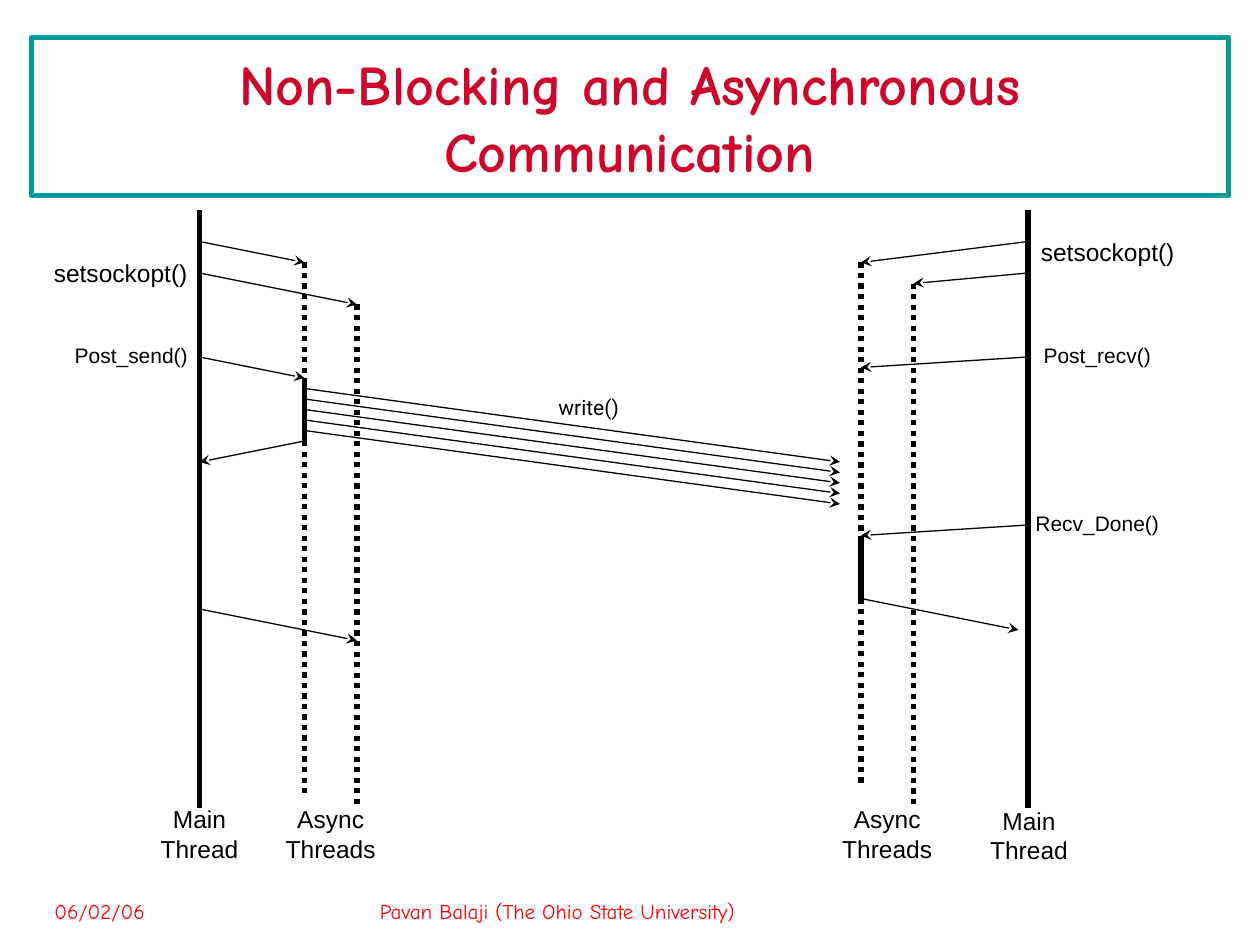
from dataclasses import dataclass

from lxml import etree
from pptx import Presentation
from pptx.dml.color import RGBColor
from pptx.enum.dml import MSO_LINE
from pptx.enum.shapes import MSO_CONNECTOR
from pptx.enum.text import MSO_ANCHOR, MSO_AUTO_SIZE, PP_ALIGN
from pptx.oxml.ns import qn
from pptx.slide import Slide
from pptx.text.text import TextFrame
from pptx.util import Pt

STRAIGHT = MSO_CONNECTOR.STRAIGHT
DOTTED = MSO_LINE.ROUND_DOT  # stored as sysDot
LEFT, CENTER = PP_ALIGN.LEFT, PP_ALIGN.CENTER
MIDDLE, TOP = MSO_ANCHOR.MIDDLE, MSO_ANCHOR.TOP
FIXED = MSO_AUTO_SIZE.NONE


@dataclass(frozen=True)
class Theme:
    ink: RGBColor = RGBColor(0x00, 0x00, 0x00)
    paper: RGBColor = RGBColor(0xFF, 0xFF, 0xFF)
    frame: RGBColor = RGBColor(0x00, 0x99, 0x99)
    title: RGBColor = RGBColor(0xCD, 0x05, 0x2B)
    footer: RGBColor = RGBColor(0xFF, 0x00, 0x00)
    heading_font: str = "Comic Neue"
    label_font: str = "Arial"
    write_font: str = "Roboto"
    title_size: float = 32
    large: float = 14
    small: float = 12
    thick: float = 3
    thin: float = 0.75


THEME = Theme()


@dataclass(frozen=True)
class Lifeline:
    x: float
    top: float
    bottom: float
    dotted: bool = False


@dataclass(frozen=True)
class Message:
    start_x: float
    start_y: float
    end_x: float
    end_y: float


@dataclass(frozen=True)
class Label:
    text: str
    left: float
    top: float
    width: float
    height: float
    size: float = THEME.small
    font: str = THEME.label_font
    color: RGBColor = THEME.ink
    alignment: PP_ALIGN = CENTER


# Horizontal positions of the threads
SEND_MAIN, SEND_ASYNC_1, SEND_ASYNC_2 = 114, 174, 204
RECEIVE_ASYNC_1, RECEIVE_ASYNC_2, RECEIVE_MAIN = 492, 522, 587.5
WRITE_COUNT, WRITE_STEP = 5, 6

LIFELINES = [
    Lifeline(SEND_MAIN, 120, 462),
    Lifeline(SEND_ASYNC_1, 150, 216, dotted=True),
    Lifeline(SEND_ASYNC_1, 216, 252),
    Lifeline(SEND_ASYNC_1, 252, 456, dotted=True),
    Lifeline(SEND_ASYNC_2, 174, 462, dotted=True),
    Lifeline(RECEIVE_ASYNC_1, 150, 312, dotted=True),
    Lifeline(RECEIVE_ASYNC_1, 306, 342),
    Lifeline(RECEIVE_ASYNC_1, 342, 450, dotted=True),
    Lifeline(RECEIVE_ASYNC_2, 162, 462, dotted=True),
    Lifeline(RECEIVE_MAIN, 120, 462),
]

MESSAGES = [
    Message(SEND_MAIN, 138, SEND_ASYNC_1, 150),
    Message(SEND_MAIN, 156, SEND_ASYNC_2, 174),
    Message(SEND_MAIN, 204, SEND_ASYNC_1, 216),
    Message(SEND_ASYNC_1, 252, SEND_MAIN, 264),
    Message(SEND_MAIN, 348, SEND_ASYNC_2, 366),
    Message(RECEIVE_MAIN, 138, RECEIVE_ASYNC_1, 150),
    Message(RECEIVE_MAIN, 156, RECEIVE_ASYNC_2, 162),
    Message(RECEIVE_MAIN, 204, RECEIVE_ASYNC_1, 210),
    Message(RECEIVE_MAIN, 300, RECEIVE_ASYNC_1, 306),
    Message(RECEIVE_ASYNC_1, 342, 582, 360),
] + [
    Message(SEND_ASYNC_1, 222 + WRITE_STEP * index, 480, 264 + WRITE_STEP * index)
    for index in range(WRITE_COUNT)
]

LABELS = [
    Label("setsockopt()", 18, 144, 102, 24, THEME.large),
    Label("Post_send()", 30, 192, 90, 21.6),
    Label("write()", 312, 222, 60, 21.6, font=THEME.write_font, alignment=LEFT),
    Label("setsockopt()", 582, 132, 102, 24, THEME.large),
    Label("Post_recv()", 582, 192, 90, 21.6),
    Label("Recv_Done()", 582, 288, 90, 21.6),
    Label("Main Thread", 84, 456, 60, 41, THEME.large),
    Label("Async Threads", 156, 456, 66, 41, THEME.large),
    Label("Async Threads", 474, 456, 66, 41, THEME.large),
    Label("Main Thread", 558, 457, 60, 41, THEME.large),
    Label("06/02/06", 24, 510, 168, 24, THEME.small,
          THEME.heading_font, THEME.footer, LEFT),
    Label("Pavan Balaji (The Ohio State University)", 210, 510, 300, 24, THEME.small,
          THEME.heading_font, THEME.footer, LEFT),
]


def write_text(frame: TextFrame, text: str, font: str, size: float, color: RGBColor,
               alignment: PP_ALIGN, anchor: MSO_ANCHOR, bold: bool = False) -> None:
    frame.word_wrap = True
    frame.auto_size = FIXED
    frame.vertical_anchor = anchor
    paragraph = frame.paragraphs[0]
    paragraph.alignment = alignment
    run = paragraph.add_run()
    run.text = text
    run.font.name = font
    run.font.size = Pt(size)
    run.font.bold = bold
    run.font.color.rgb = color


def draw_title(slide: Slide, text: str) -> None:
    title = slide.shapes.title
    title.left, title.top, title.width, title.height = Pt(18), Pt(21.6), Pt(684), Pt(90)
    title.fill.solid()
    title.fill.fore_color.rgb = THEME.paper
    title.line.color.rgb = THEME.frame
    title.line.width = Pt(THEME.thick)
    write_text(title.text_frame, text, THEME.heading_font, THEME.title_size,
               THEME.title, CENTER, MIDDLE, bold=True)


def draw_line(slide: Slide, ends: Message, width: float,
              dotted: bool = False, arrow: bool = False) -> None:
    connector = slide.shapes.add_connector(
        STRAIGHT, Pt(ends.start_x), Pt(ends.start_y), Pt(ends.end_x), Pt(ends.end_y))
    line = connector.line
    line.color.rgb = THEME.ink
    line.width = Pt(width)
    if dotted:
        line.dash_style = DOTTED
    properties = connector.element.spPr
    if arrow:
        etree.SubElement(properties.find(qn("a:ln")), qn("a:tailEnd"), type="stealth")
    etree.SubElement(properties, qn("a:effectLst"))


def draw_lifeline(slide: Slide, lifeline: Lifeline) -> None:
    ends = Message(lifeline.x, lifeline.top, lifeline.x, lifeline.bottom)
    draw_line(slide, ends, THEME.thick, dotted=lifeline.dotted)


def draw_label(slide: Slide, label: Label) -> None:
    box = slide.shapes.add_textbox(
        Pt(label.left), Pt(label.top), Pt(label.width), Pt(label.height))
    write_text(box.text_frame, label.text, label.font, label.size,
               label.color, label.alignment, TOP)


def main() -> None:
    presentation = Presentation()
    presentation.slide_width, presentation.slide_height = Pt(720), Pt(540)
    title_only = presentation.slide_layouts.get_by_name("Title Only")
    slide = presentation.slides.add_slide(title_only)
    draw_title(slide, "Non-Blocking and Asynchronous Communication")
    for lifeline in LIFELINES:
        draw_lifeline(slide, lifeline)
    for message in MESSAGES:
        draw_line(slide, message, THEME.thin, arrow=True)
    for label in LABELS:
        draw_label(slide, label)
    presentation.save("out.pptx")


if __name__ == "__main__":
    main()
